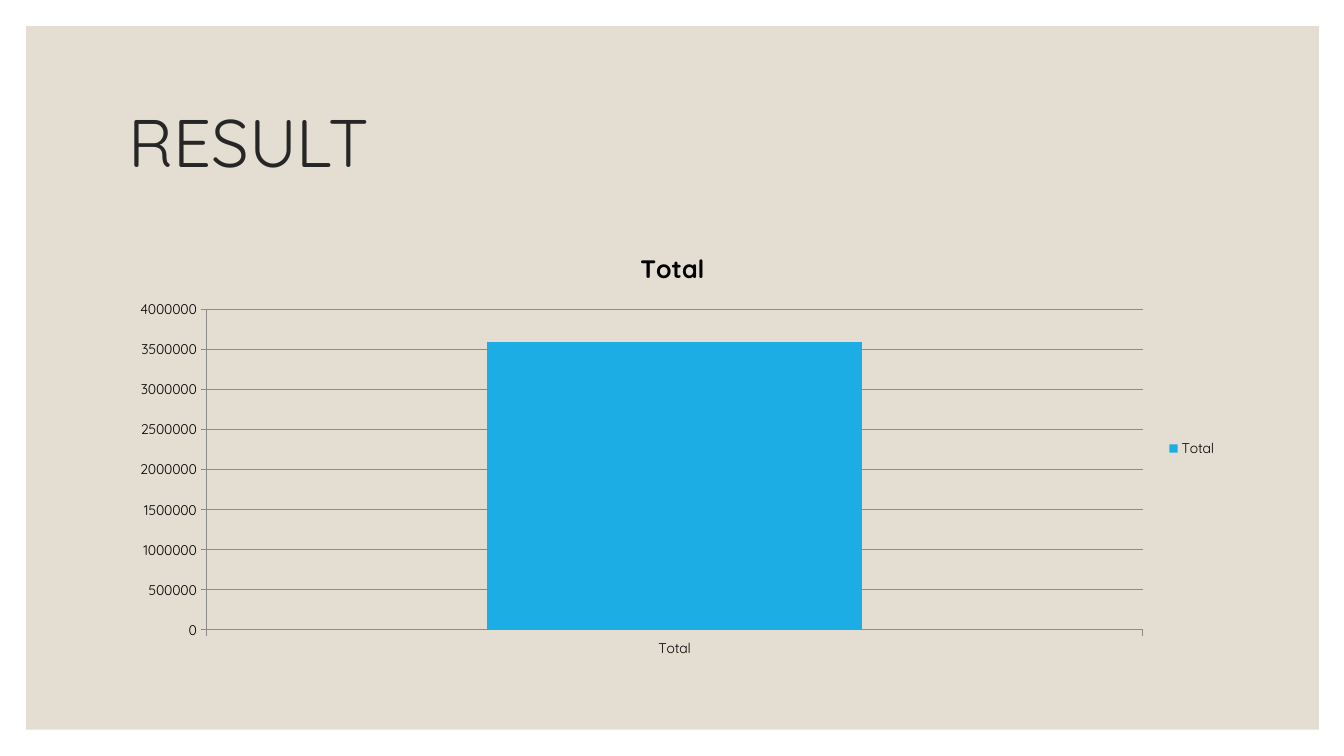
import pptx
import pptx.chart.data
import pptx.dml.color
import pptx.enum.chart
import pptx.enum.shapes
import pptx.enum.text
import pptx.util
from pptx.util import Inches

TITLE_ONLY_LAYOUT = 5


def color(hex_value):
    return pptx.dml.color.RGBColor.from_string(hex_value)


def apply_format(target, values):
    for name, value in values.items():
        setattr(target, name, value)


class SlideBuilder:
    """Holds the style and the current slide."""

    font_name = "Quicksand"
    panel_color = "E3DED1"
    title_color = "262626"
    chart_text_color = "000000"
    line_color = "8B8B8B"
    bar_color = "1CADE4"

    def __init__(self, presentation):
        layout = presentation.slide_layouts[TITLE_ONLY_LAYOUT]
        self.slide = presentation.slides.add_slide(layout)

    def style_font(self, font, size, hex_color, bold=False):
        apply_format(font, {"name": self.font_name, "size": pptx.util.Pt(size), "bold": bold})
        font.color.rgb = color(hex_color)

    def style_line(self, line):
        line.color.rgb = color(self.line_color)
        line.width = pptx.util.Pt(0.75)

    def add_panel(self, *box):
        panel = self.slide.shapes.add_shape(
            pptx.enum.shapes.MSO_SHAPE.RECTANGLE, *map(Inches, box))
        panel.shadow.inherit = False
        panel.fill.solid()
        panel.fill.fore_color.rgb = color(self.panel_color)
        panel.line.fill.background()
        # Keep the panel behind the title
        self.slide.shapes.title.element.addprevious(panel.element)

    def set_title(self, text, left, top, width, height):
        title = self.slide.shapes.title
        apply_format(title, {"left": Inches(left), "top": Inches(top),
                             "width": Inches(width), "height": Inches(height)})
        apply_format(title.text_frame, {
            "text": text, "word_wrap": True,
            "vertical_anchor": pptx.enum.text.MSO_ANCHOR.MIDDLE})
        paragraph = title.text_frame.paragraphs[0]
        apply_format(paragraph, {"alignment": pptx.enum.text.PP_ALIGN.LEFT,
                                 "line_spacing": 0.9})
        self.style_font(paragraph.runs[0].font, 48, self.title_color)

    def add_column_chart(self, heading, categories, series, *box):
        data = pptx.chart.data.CategoryChartData()
        data.categories = categories
        for name, values in series.items():
            data.add_series(name, values)
        chart = self.slide.shapes.add_chart(
            pptx.enum.chart.XL_CHART_TYPE.COLUMN_CLUSTERED, *map(Inches, box), data).chart
        self.style_font(chart.font, 10, self.chart_text_color)

        # Heading and legend
        chart.has_title = True
        chart.chart_title.text_frame.text = heading
        heading_run = chart.chart_title.text_frame.paragraphs[0].runs[0]
        self.style_font(heading_run.font, 18, self.chart_text_color, bold=True)
        chart.has_legend = True
        apply_format(chart.legend, {
            "position": pptx.enum.chart.XL_LEGEND_POSITION.RIGHT,
            "include_in_layout": False})

        # Axes
        for axis in (chart.category_axis, chart.value_axis):
            axis.major_tick_mark = pptx.enum.chart.XL_TICK_MARK.OUTSIDE
            self.style_line(axis.format.line)
        apply_format(chart.value_axis, {
            "minimum_scale": 0, "maximum_scale": 4000000,
            "major_unit": 500000, "has_major_gridlines": True})
        self.style_line(chart.value_axis.major_gridlines.format.line)

        # Columns
        plot = chart.plots[0]
        apply_format(plot, {"gap_width": 150, "vary_by_categories": False})
        for column_series in plot.series:
            column_series.format.fill.solid()
            column_series.format.fill.fore_color.rgb = color(self.bar_color)


def main():
    presentation = pptx.Presentation()
    apply_format(presentation, {"slide_width": Inches(13.33), "slide_height": Inches(7.5)})
    builder = SlideBuilder(presentation)
    builder.add_panel(0.26, 0.26, 12.82, 6.98)
    builder.set_title("RESULT", 1.17, 0.7, 11, 1.5)
    builder.add_column_chart("Total", ["Total"], {"Total": [3600000]}, 1.17, 2.3, 11, 4.3)
    presentation.save("out.pptx")


if __name__ == "__main__":
    main()
